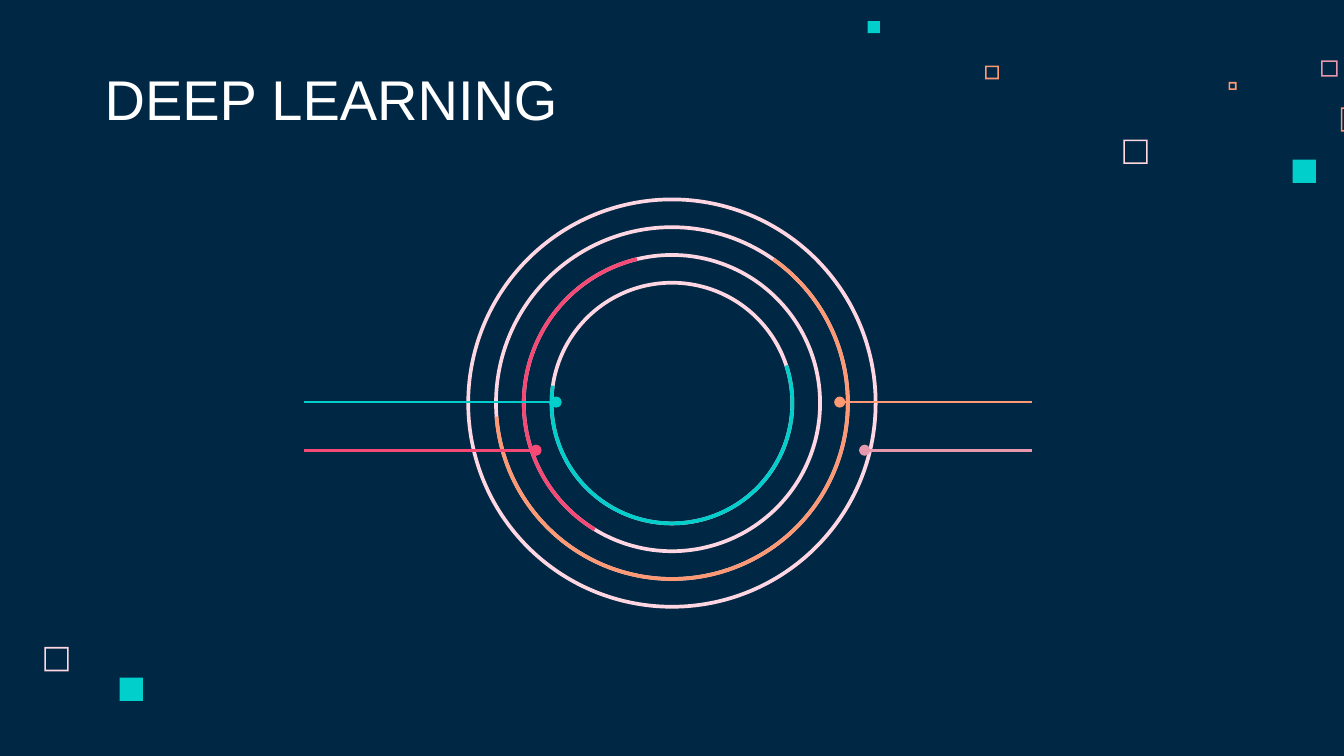
from typing import NamedTuple

from lxml import etree
from pptx import Presentation
from pptx.dml.color import RGBColor
from pptx.enum.shapes import MSO_CONNECTOR, MSO_SHAPE
from pptx.enum.text import MSO_ANCHOR
from pptx.oxml.ns import qn
from pptx.util import Cm, Pt

NAVY = RGBColor(0x00, 0x28, 0x45)
WHITE = RGBColor(0xFF, 0xFF, 0xFF)
PALE = RGBColor(0xFF, 0xD6, 0xE1)
MAUVE = RGBColor(0xE8, 0x98, 0xAC)
CORAL = RGBColor(0xFF, 0x99, 0x73)
ROSE = RGBColor(0xF6, 0x49, 0x75)
TEAL = RGBColor(0x00, 0xCF, 0xCC)

FRAME = MSO_SHAPE.FRAME
SOLID = MSO_SHAPE.RECTANGLE
DONUT = MSO_SHAPE.DONUT
ARC = MSO_SHAPE.BLOCK_ARC
STRAIGHT = MSO_CONNECTOR.STRAIGHT
BOTTOM = MSO_ANCHOR.BOTTOM

MID_X, MID_Y = 12.7, 7.62
OUTER, STEP, BAND = 7.77, 1.05, 0.07
EDGE = 0.03
LEFT, RIGHT = 5.74, 19.5
UPPER, LOWER = 7.6, 8.51


class Square(NamedTuple):
    x: float
    y: float
    size: float
    color: RGBColor
    kind: MSO_SHAPE = FRAME


class Arc(NamedTuple):
    ring: int
    start: float
    end: float
    color: RGBColor


class Lead(NamedTuple):
    x: float
    y: float
    tip: float
    color: RGBColor


SQUARES = [
    Square(21.23, 2.64, 0.46, PALE),
    Square(24.97, 1.14, 0.31, MAUVE),
    Square(23.22, 1.55, 0.15, CORAL),
    Square(25.34, 2.03, 0.46, CORAL),
    Square(24.43, 3.02, 0.44, TEAL, SOLID),
    Square(18.62, 1.24, 0.26, CORAL),
    Square(16.4, 0.4, 0.23, TEAL, SOLID),
    Square(0.84, 12.23, 0.46, PALE),
    Square(2.26, 12.81, 0.44, TEAL, SOLID),
]
ARCS = [
    Arc(1, 305.2, 175.6, CORAL),
    Arc(2, 121.4, 256.4, ROSE),
    Arc(3, 341.8, 188.3, TEAL),
]
LEADS = [
    Lead(LEFT, UPPER, 10.51, TEAL),
    Lead(LEFT, LOWER, 10.13, ROSE),
    Lead(RIGHT, UPPER, 15.87, CORAL),
    Lead(RIGHT, LOWER, 16.34, MAUVE),
]


def add_form(slide, kind: MSO_SHAPE, x: float, y: float, size: float,
             color: RGBColor, *tweaks: float) -> None:
    form = slide.shapes.add_shape(kind, Cm(x), Cm(y), Cm(size), Cm(size))
    form.shadow.inherit = False
    form.fill.solid()
    form.fill.fore_color.rgb = color
    form.line.fill.background()
    for i, value in enumerate(tweaks):
        form.adjustments[i] = value


def add_square(slide, item: Square) -> None:
    tweaks = [EDGE / item.size] if item.kind == FRAME else []
    add_form(slide, item.kind, item.x, item.y, item.size, item.color, *tweaks)


def add_round(slide, kind: MSO_SHAPE, ring: int, color: RGBColor,
              *angles: float) -> None:
    size = OUTER - ring * STEP
    turns = [angle * 0.6 for angle in angles]
    add_form(slide, kind, MID_X - size / 2, MID_Y - size / 2, size, color,
             *turns, BAND / size)


def add_lead(slide, item: Lead) -> None:
    lead = slide.shapes.add_connector(
        STRAIGHT, Cm(item.x), Cm(item.y), Cm(item.tip), Cm(item.y))
    lead.line.color.rgb = item.color
    lead.line.width = Pt(1.5)
    props = lead.element.find(qn("p:spPr"))
    etree.SubElement(props.find(qn("a:ln")), qn("a:tailEnd"), type="oval")
    etree.SubElement(props, qn("a:effectLst"))


def add_title(slide, text: str) -> None:
    box = slide.shapes.add_textbox(Cm(1.73), Cm(1.14), Cm(13.13), Cm(1.6))
    frame = box.text_frame
    frame.word_wrap = True
    frame.vertical_anchor = BOTTOM
    frame.margin_top = frame.margin_bottom = Cm(0.25)
    frame.text = text
    font = frame.paragraphs[0].runs[0].font
    font.name = "Arial"
    font.size = Pt(30)
    font.color.rgb = WHITE


def main() -> None:
    deck = Presentation()
    deck.slide_width, deck.slide_height = Cm(25.4), Cm(14.29)
    slide = deck.slides.add_slide(deck.slide_layouts[6])
    slide.background.fill.solid()
    slide.background.fill.fore_color.rgb = NAVY
    for item in SQUARES:
        add_square(slide, item)
    add_title(slide, "DEEP LEARNING")
    for ring in range(4):
        add_round(slide, DONUT, ring, PALE)
    for arc in ARCS:
        add_round(slide, ARC, arc.ring, arc.color, arc.start, arc.end)
    for lead in LEADS:
        add_lead(slide, lead)
    deck.save("out.pptx")


if __name__ == "__main__":
    main()
